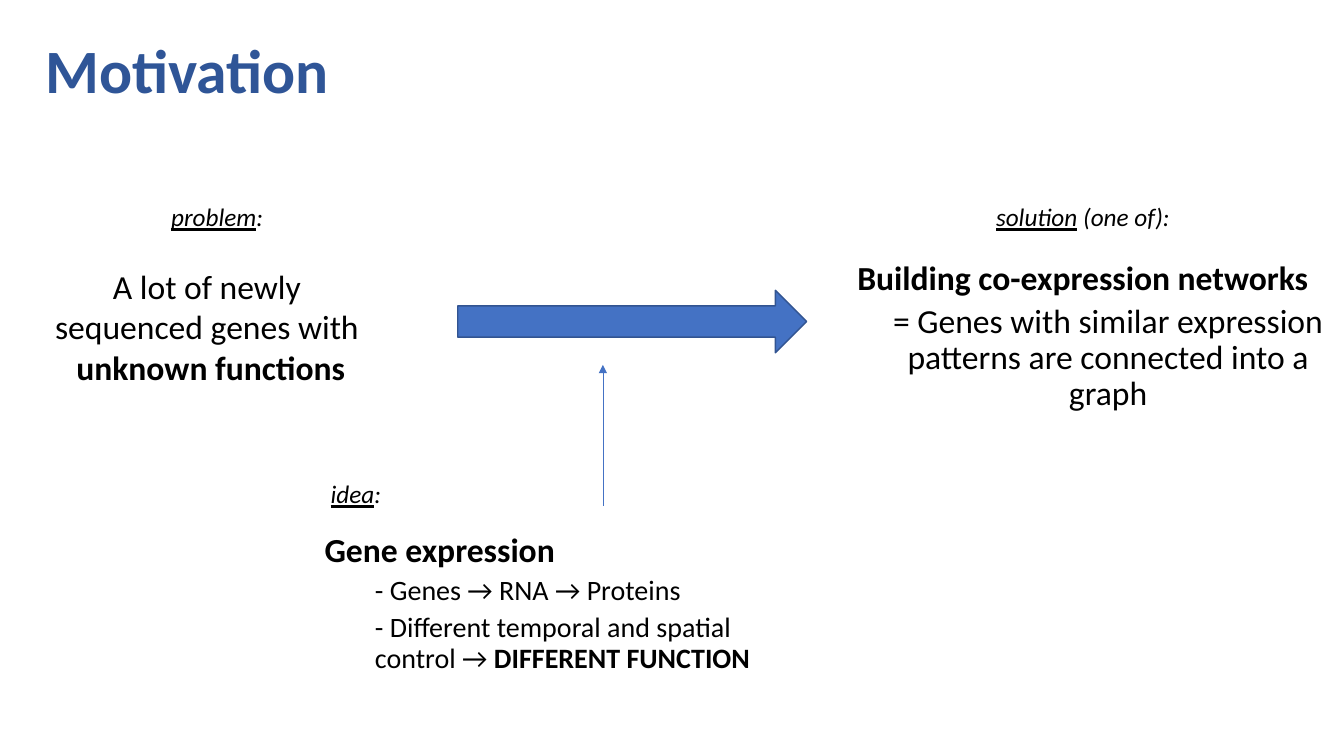
from pptx import Presentation
from pptx.dml.color import RGBColor
from pptx.enum.shapes import MSO_CONNECTOR as Connector, MSO_SHAPE as Shape
from pptx.enum.text import MSO_ANCHOR as Anchor, PP_ALIGN as Align
from pptx.oxml.ns import qn
from pptx.util import Inches, Pt
from lxml.etree import SubElement

WIDTH, HEIGHT = Inches(13.33), Inches(7.5)
FONT = "Calibri"
BLACK, BLUE, EDGE, HEADING = "000000", "4472C4", "325491", "2F5597"


def color(value):
    return RGBColor.from_string(value)


def across(percent):
    return round(WIDTH * percent / 100)


def down(percent):
    return round(HEIGHT * percent / 100)


def place(left, top, width, height):
    return across(left), down(top), across(width), down(height)


def format_span(span, size, shade=BLACK, bold=False, italic=False, underline=False):
    font = span.font
    font.name, font.size = FONT, Pt(size)
    font.color.rgb = color(shade)
    font.bold, font.italic, font.underline = bold, italic, underline


def add_title(page, text, area):
    title = page.shapes.title
    title.left, title.top, title.width, title.height = place(*area)
    title.text_frame.text = text
    title.text_frame.vertical_anchor = Anchor.MIDDLE
    para = title.text_frame.paragraphs[0]
    para.alignment, para.line_spacing = Align.LEFT, 0.9
    format_span(para.runs[0], 44, HEADING, bold=True)


def add_box(page, area):
    box = page.shapes.add_textbox(*place(*area))
    box.text_frame.word_wrap = True
    return box.text_frame


def add_label(page, area, term, rest):
    para = add_box(page, area).paragraphs[0]
    for text, underline in ((term, True), (rest, False)):
        span = para.add_run()
        span.text = text
        format_span(span, 18, italic=True, underline=underline)


def add_statement(page, area, lines, align, spacing=1.0, detail_size=24):
    frame = add_box(page, area)
    for index, (level, spans) in enumerate(lines):
        para = frame.add_paragraph() if index else frame.paragraphs[0]
        para.alignment, para.line_spacing = align, spacing
        if level:
            properties = para._p.get_or_add_pPr()
            properties.set("marL", str(Inches(0.5)))
            properties.set("indent", "0")
            para.level = level
            para.space_before = Pt(5)
        for text, bold in spans:
            span = para.add_run()
            span.text = text
            format_span(span, detail_size if level else 24, bold=bold)


def add_block_arrow(page, area):
    arrow = page.shapes.add_shape(Shape.RIGHT_ARROW, *place(*area))
    arrow.shadow.inherit = False
    arrow.fill.solid()
    arrow.fill.fore_color.rgb = color(BLUE)
    arrow.line.color.rgb = color(EDGE)
    arrow.line.width = Pt(1)


def add_up_arrow(page, column, start, end):
    arrow = page.shapes.add_connector(
        Connector.STRAIGHT, across(column), down(start), across(column), down(end))
    arrow.line.color.rgb = color(BLUE)
    arrow.line.width = Pt(0.5)
    SubElement(arrow.line._get_or_add_ln(), qn("a:tailEnd"), type="triangle")
    SubElement(arrow._element.spPr, qn("a:effectLst"))


def main():
    deck = Presentation()
    deck.slide_width, deck.slide_height = WIDTH, HEIGHT
    page = deck.slides.add_slide(deck.slide_layouts[5])

    add_title(page, "Motivation", (2.63, 0, 86.27, 19.33))
    add_statement(page, (23.41, 69.87, 37.73, 22.93), [
        (0, [("Gene expression", True)]),
        (1, [("- Genes → RNA → Proteins", False)]),
        (1, [("- Different temporal and spatial control → ", False),
             ("DIFFERENT FUNCTION", True)]),
    ], Align.LEFT, spacing=0.9, detail_size=20)
    add_statement(page, (61.14, 33.87, 38.86, 25.6), [
        (0, [("Building co-expression networks", True)]),
        (1, [("= Genes with similar expression patterns are connected into a graph", False)]),
    ], Align.CENTER, spacing=0.9)
    add_statement(page, (0.9, 34.53, 29.56, 22.93), [
        (0, [("A lot of newly ", False)]),
        (0, [("sequenced genes with ", False)]),
        (0, [("unknown functions", True)]),
    ], Align.CENTER)

    add_label(page, (12, 26, 9.45, 5.33), "problem", ":")
    add_label(page, (73.37, 26, 16.5, 5.33), "solution", " (one of):")
    add_label(page, (23.86, 62.67, 9.45, 5.33), "idea", ":")

    add_block_arrow(page, (34.06, 38.4, 25.96, 8.27))
    add_up_arrow(page, 44.86, 66.93, 48.27)
    deck.save("out.pptx")


if __name__ == "__main__":
    main()
